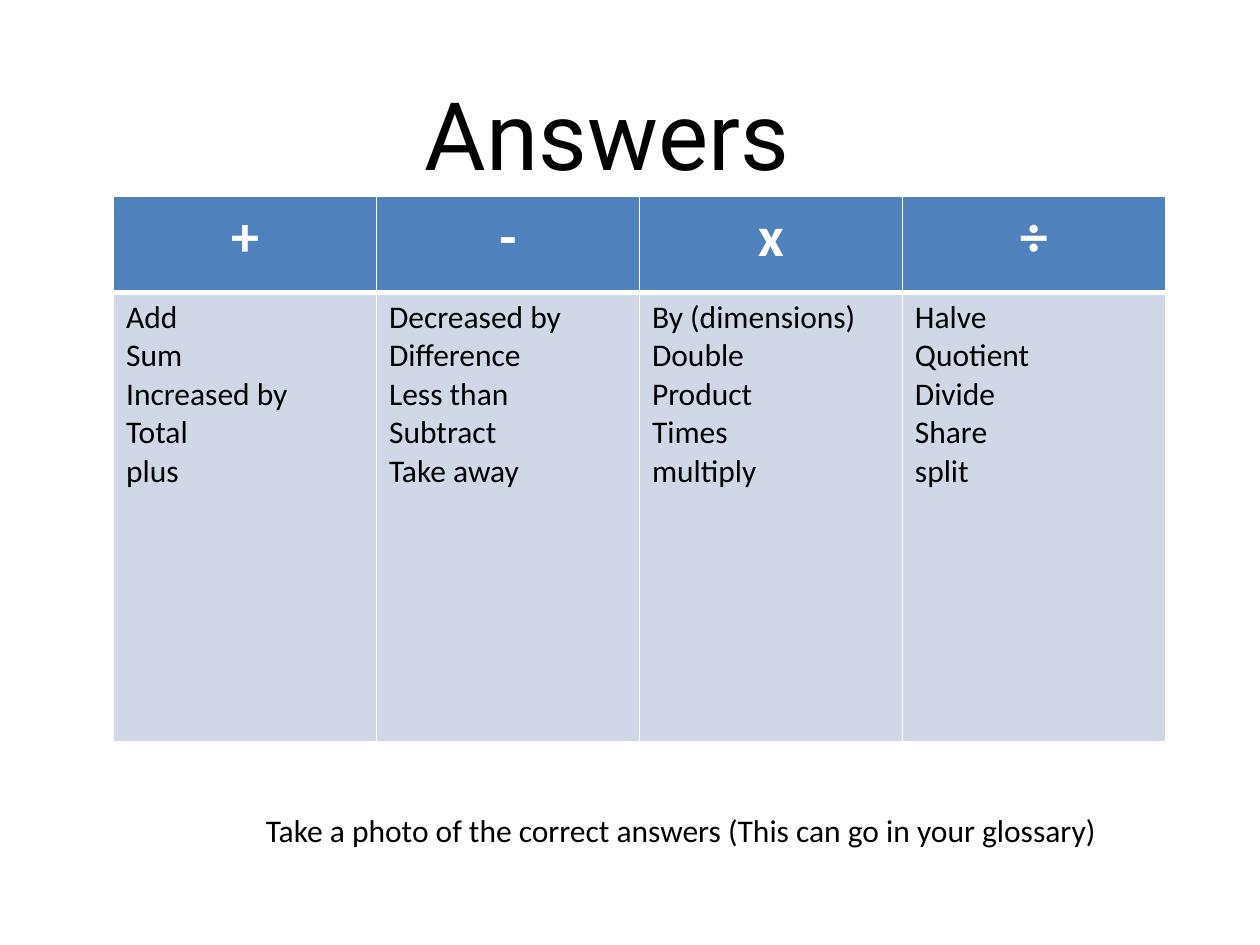
"""Build the answers slide: a table of words for the four operations."""
from lxml.etree import SubElement
from pptx import Presentation
from pptx.dml.color import RGBColor
from pptx.enum.text import MSO_ANCHOR, MSO_AUTO_SIZE, PP_ALIGN
from pptx.oxml.ns import qn
from pptx.util import Cm, Pt

TITLE = "Answers"
ANSWERS = {
    "+": ["Add", "Sum", "Increased by", "Total", "plus"],
    "-": ["Decreased by", "Difference", "Less than", "Subtract", "Take away"],
    "x": ["By (dimensions)", "Double", "Product", "Times", "multiply"],
    "÷": ["Halve", "Quotient", "Divide", "Share", "split"],
}
NOTE = "Take a photo of the correct answers (This can go in your glossary)"

THEME = {
    "title": {"name": "Roboto", "size": Pt(54), "bold": False, "color": "000000"},
    "head": {"name": "Calibri", "size": Pt(32), "bold": True, "color": "FFFFFF"},
    "body": {"name": "Calibri", "size": Pt(18), "bold": False, "color": "000000"},
    "head_fill": "4F81BD",
    "body_fill": "D0D8E8",
    "border": "FFFFFF",
    "thin": Pt(1),
    "thick": Pt(3),
}
TITLE_BOX = (8.31, 1.4, 9.19, 2.57)
TABLE_BOX = (2.29, 3.96, 21.2, 11)
NOTE_BOX = (5.11, 16.23, 17.45, 1.02)
HEAD_H = 1.93


def write(tf, lines, style, align=PP_ALIGN.LEFT):
    for i, line in enumerate(lines):
        p = tf.paragraphs[0] if i == 0 else tf.add_paragraph()
        p.alignment = align
        r = p.add_run()
        r.text = line
        for key, value in THEME[style].items():
            if key == "color":
                r.font.color.rgb = RGBColor.from_string(value)
            else:
                setattr(r.font, key, value)


def place_text(sp, box, text, style):
    sp.left, sp.top, sp.width, sp.height = map(Cm, box)
    tf = sp.text_frame
    fmt = {"word_wrap": False, "auto_size": MSO_AUTO_SIZE.SHAPE_TO_FIT_TEXT,
           "vertical_anchor": MSO_ANCHOR.TOP}
    for key, value in fmt.items():
        setattr(tf, key, value)
    write(tf, [text], style)


def style_cell(cell, fill, widths):
    tc_pr = cell._tc.get_or_add_tcPr()
    for side, width in widths.items():
        ln = SubElement(tc_pr, qn(f"a:ln{side}"), w=str(width))
        color = SubElement(SubElement(ln, qn("a:solidFill")), qn("a:srgbClr"))
        color.set("val", THEME["border"])
    cell.fill.solid()
    cell.fill.fore_color.rgb = RGBColor.from_string(THEME[fill])


def add_answers(s):
    left, top, width, height = TABLE_BOX
    table = s.shapes.add_table(2, len(ANSWERS), *map(Cm, TABLE_BOX)).table
    table.rows[0].height = Cm(HEAD_H)
    table.rows[1].height = Cm(height - HEAD_H)
    thin, thick = THEME["thin"], THEME["thick"]
    head_lines = {"L": thin, "R": thin, "T": thin, "B": thick}
    body_lines = {"L": thin, "R": thin, "T": thick, "B": thin}
    for col, (symbol, words) in enumerate(ANSWERS.items()):
        table.columns[col].width = Cm(width / len(ANSWERS))
        head, body = table.cell(0, col), table.cell(1, col)
        style_cell(head, "head_fill", head_lines)
        style_cell(body, "body_fill", body_lines)
        write(head.text_frame, [symbol], "head", PP_ALIGN.CENTER)
        write(body.text_frame, words, "body")


def main():
    prs = Presentation()
    prs.slide_width, prs.slide_height = Cm(25.4), Cm(19.05)
    s = prs.slides.add_slide(prs.slide_layouts[5])
    add_answers(s)
    place_text(s.shapes.title, TITLE_BOX, TITLE, "title")
    place_text(s.shapes.add_textbox(*map(Cm, NOTE_BOX)), NOTE_BOX, NOTE, "body")
    prs.save("out.pptx")


if __name__ == "__main__":
    main()
